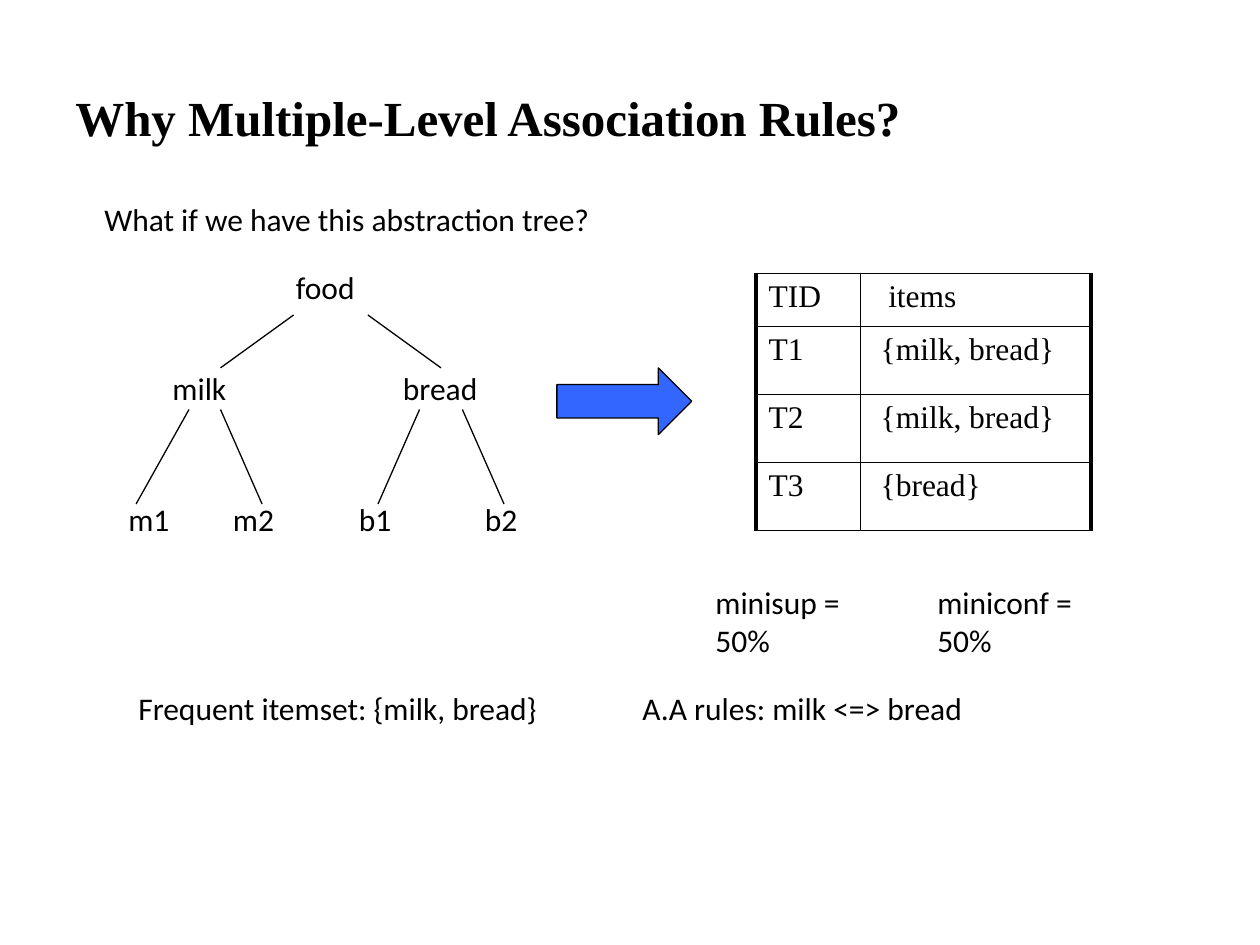
from pptx import Presentation
from pptx.dml import color
from pptx.enum import shapes, text
from pptx.oxml import ns
from pptx import util as u
from lxml import etree

BLACK = "000000"
BLUE = "3366FF"
BODY_FONT = "Calibri"
SERIF_FONT = "Times New Roman"


def paint(target, value):
    """Give a fill or a font a solid colour from a hex string."""
    if hasattr(target, "solid"):
        target.solid()
        target = target.fore_color
    else:
        target = target.color
    target.rgb = color.RGBColor.from_string(value)


def write(frame, words, size=18, font=BODY_FONT, bold=False, before=0, spacing=None):
    """Write one formatted paragraph into a text frame."""
    para = frame.paragraphs[0]
    para.space_before = u.Pt(before)
    if spacing:
        para.line_spacing = spacing
    span = para.add_run()
    span.text = words
    span.font.size = u.Pt(size)
    span.font.name = font
    span.font.bold = bold
    paint(span.font, BLACK)


def add_text(page, words, left, top, width, height=0.4, wrap=False, middle=False, **style):
    """Place a text box on the page."""
    box = page.shapes.add_textbox(*map(u.Inches, (left, top, width, height)))
    frame = box.text_frame
    frame.word_wrap = wrap
    if middle:
        frame.vertical_anchor = text.MSO_ANCHOR.MIDDLE
    write(frame, words, **style)


def add_branch(page, start, end):
    """Draw a thin straight line between two points."""
    line = page.shapes.add_connector(
        shapes.MSO_CONNECTOR.STRAIGHT, *map(u.Inches, (*start, *end)))
    paint(line.line.fill, BLACK)
    line.line.width = u.Pt(0.75)
    etree.SubElement(line._element.spPr, ns.qn("a:effectLst"))


def add_tree(page, left, top):
    """Draw the abstraction tree from its top left corner."""
    nodes = [
        ("food", 1.33, 0, 0.69),
        ("milk", 0.35, 0.8, 0.65), ("bread", 2.18, 0.8, 0.84),
        ("m1", 0, 1.84, 0.55), ("m2", 0.83, 1.84, 0.55),
        ("b1", 1.83, 1.84, 0.48), ("b2", 2.83, 1.84, 0.48),
    ]
    for words, x, y, width in nodes:
        add_text(page, words, left + x, top + y, width)
    levels = [
        (0.42, 0.84, [(1.41, 0.83), (2, 2.58)]),
        (1.17, 1.92, [(0.58, 0.16), (0.83, 1.16), (2.41, 2.08), (2.75, 3.08)]),
    ]
    for upper, lower, branches in levels:
        for start, end in branches:
            add_branch(page, (left + start, top + upper), (left + end, top + lower))


def add_border(cell, **widths):
    """Set black cell borders, given as widths in points by side."""
    properties = cell._tc.get_or_add_tcPr()
    for index, (side, width) in enumerate(widths.items()):
        edge = etree.Element(ns.qn(f"a:ln{side}"), w=str(u.Pt(width)))
        fill = etree.SubElement(edge, ns.qn("a:solidFill"))
        etree.SubElement(fill, ns.qn("a:srgbClr"), val=BLACK)
        properties.insert(index, edge)


def add_transactions(page, left, top, width, height):
    """Build the table of transactions and their items."""
    rows = [("TID", "items"), ("T1", "{milk, bread}"),
            ("T2", "{milk, bread}"), ("T3", "{bread}")]
    table = page.shapes.add_table(
        len(rows), 2, *map(u.Inches, (left, top, width, height))).table
    table.first_row = table.horz_banding = False
    for column, share in zip(table.columns, (0.83, 1.83)):
        column.width = u.Inches(share)
    for number, words in enumerate(rows):
        table.rows[number].height = u.Inches(0.54 if number else 0.42)
        for side, entry in enumerate(words):
            cell = table.cell(number, side)
            cell.fill.background()
            if side:
                cell.margin_left = u.Inches(0.16 if number else 0.22)
            write(cell.text_frame, entry, font=SERIF_FONT, before=3.6)
            add_border(cell, L=1 if side else 2.25, R=2.25 if side else 1, T=1, B=1)


def add_arrow(page, left, top, width, height):
    """Draw the block arrow from the tree to the table."""
    arrow = page.shapes.add_shape(
        shapes.MSO_SHAPE.RIGHT_ARROW, *map(u.Inches, (left, top, width, height)))
    arrow.shadow.inherit = False
    paint(arrow.fill, BLUE)
    paint(arrow.line.fill, BLACK)
    arrow.line.width = u.Pt(0.75)


def main():
    """Build the slide and save the deck."""
    deck = Presentation()
    deck.slide_width, deck.slide_height = u.Inches(10), u.Inches(7.5)
    page = deck.slides.add_slide(deck.slide_layouts[6])
    add_text(page, "Why Multiple-Level Association Rules?", 0.5, 0.33, 9, 1.25,
             wrap=True, middle=True, size=28, font=SERIF_FONT, bold=True, spacing=0.9)
    add_transactions(page, 6, 2.17, 2.66, 2.04)
    for words, left, top, width in [
        ("What if we have this abstraction tree?", 0.73, 1.54, 4.37),
        ("minisup = 50%", 5.58, 4.58, 1.67),
        ("miniconf = 50%", 7.34, 4.58, 1.75),
        ("Frequent itemset: {milk, bread}", 1, 5.42, 3.6),
        ("A.A rules: milk <=> bread", 5, 5.42, 3.01),
    ]:
        add_text(page, words, left, top, width)
    add_tree(page, 0.92, 2.08)
    add_arrow(page, 4.42, 2.92, 1.07, 0.53)
    deck.save("out.pptx")


if __name__ == "__main__":
    main()
